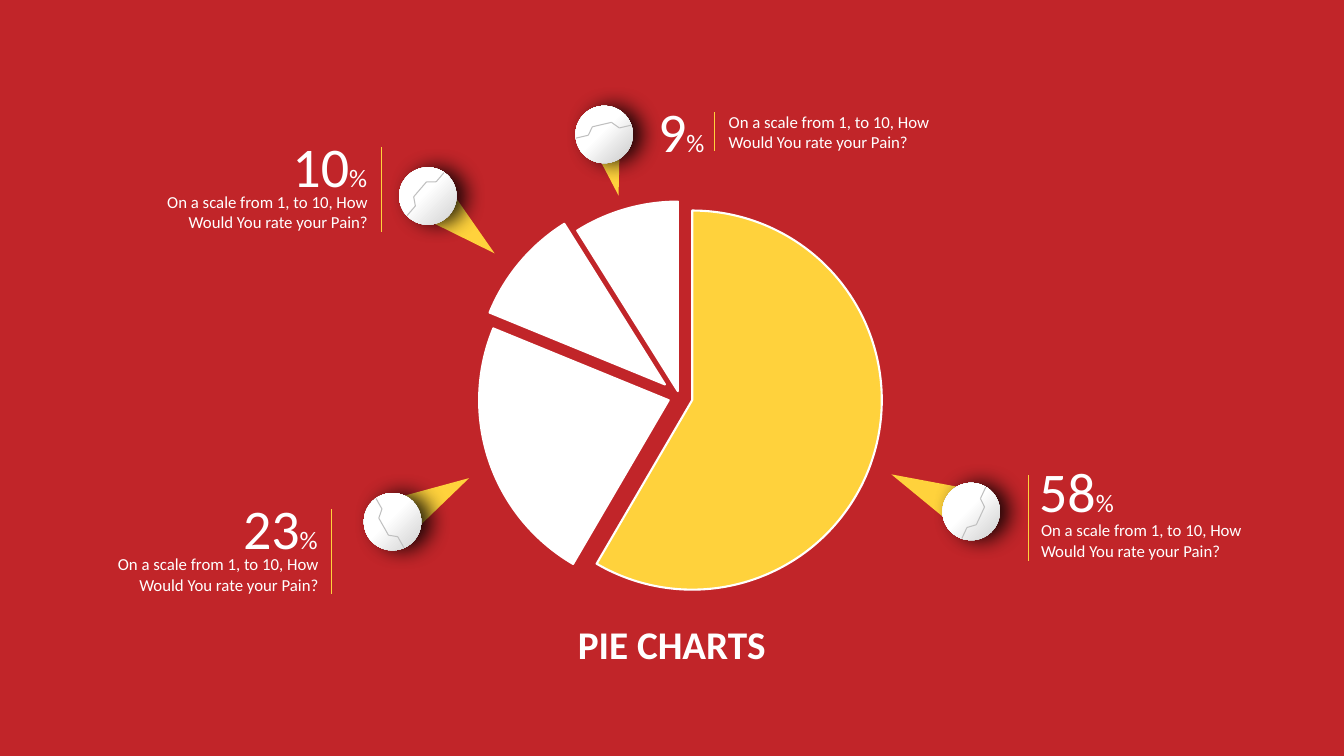
from dataclasses import dataclass
from itertools import pairwise
from math import cos, radians, sin

from lxml import etree
from pptx import Presentation
from pptx.chart.data import CategoryChartData
from pptx.dml.color import RGBColor
from pptx.enum.chart import XL_CHART_TYPE as ChartType
from pptx.enum.shapes import MSO_CONNECTOR as Connector, MSO_SHAPE as Preset
from pptx.enum.text import MSO_AUTO_SIZE as AutoSize, PP_ALIGN as Align
from pptx.oxml import parse_xml
from pptx.oxml.ns import nsdecls, qn
from pptx.util import Pt


@dataclass(frozen=True)
class Theme:
    font: str = "Calibri"
    red: str = "C12529"
    yellow: str = "FFD23C"
    white: str = "FFFFFF"
    grey: str = "BFBFBF"
    dark: str = "2E2E2E"
    black: str = "000000"
    title: float = 28
    number: float = 40
    percent: float = 18
    caption: float = 12
    chart: float = 10


@dataclass(frozen=True)
class CalloutLayout:
    number: tuple
    caption: tuple
    rule: tuple
    align: Align


THEME = Theme()
LEFT = CalloutLayout((93.8, 0, 68.4), (0, 43, 162), (164.2, 14.4, 60.7), Align.RIGHT)
RIGHT = CalloutLayout((0, 0, 68.4), (1.4, 45.4, 171.4), (-0.7, 16.6, 61.2), Align.LEFT)
TOP = CalloutLayout((0, 0, 48.2), (50.4, 10.8, 171.4), (47.5, 14.4, 28.1), Align.LEFT)

CAPTION = "On a scale from 1, to 10, How Would You rate your Pain?"
CALLOUTS = [
    ("58", RIGHT, (735.1, 322.6)),
    ("9", TOP, (463, 65.5)),
    ("23", LEFT, (72.7, 349.3)),
    ("10", LEFT, (108, 90.5)),
]
PINS = [
    ((431.6, 96.1), 346.8, 18.9),
    ((305.6, 140), 310.7, 37),
    ((693.7, 365.4), 115, 37),
    ((280.4, 372.6), 240.4, 37),
]
BALL = 41
SPIKE = (26.6, 51.8)
CRACK = [(-20.2, -2.1), (-11.2, -2.1), (-7, -7.3), (7, -7.3), (11.6, -2.1), (20.2, -2.1)]
SLICES = [(59, 7, THEME.yellow), (23, 6, THEME.white), (10, 10, THEME.white), (9, 3, THEME.white)]
PLOT = {"x": 0.176, "y": 0.153, "w": 0.657, "h": 0.689}


def color(name):
    return RGBColor.from_string(name)


def add_rule(shapes, start, end, tint, width):
    rule = shapes.add_connector(Connector.STRAIGHT, *(Pt(v) for v in (*start, *end)))
    rule.line.color.rgb = color(tint)
    rule.line.width = Pt(width)
    etree.SubElement(rule._element.spPr, qn("a:effectLst"))


def add_text(page, box, runs, align, wrap):
    holder = page.shapes.add_textbox(*(Pt(v) for v in box))
    frame = holder.text_frame
    frame.word_wrap = wrap
    frame.auto_size = AutoSize.SHAPE_TO_FIT_TEXT
    para = frame.paragraphs[0]
    para.alignment = align
    for text, size, bold in runs:
        span = para.add_run()
        span.text = text
        span.font.name = THEME.font
        span.font.size = Pt(size)
        span.font.bold = bold
        span.font.color.rgb = color(THEME.white)


def add_centered(shapes, preset, center, size, angle):
    (x, y), (width, height) = center, size
    shape = shapes.add_shape(preset, Pt(x - width / 2), Pt(y - height / 2), Pt(width), Pt(height))
    shape.rotation = angle % 360
    shape.line.fill.background()
    shape.shadow.inherit = False
    return shape


def shade_ball(ball):
    properties = ball._element.spPr
    stops = "".join(
        f'<a:gs pos="{place}"><a:srgbClr val="{tint}"/></a:gs>'
        for place, tint in ((0, THEME.grey), (54000, THEME.white), (100000, THEME.white))
    )
    gradient = parse_xml(
        f'<a:gradFill {nsdecls("a")} rotWithShape="0"><a:gsLst>{stops}</a:gsLst>'
        '<a:lin ang="13500000" scaled="0"/></a:gradFill>'
    )
    properties.find(qn("a:prstGeom")).addnext(gradient)
    properties.find(qn("a:effectLst")).append(parse_xml(
        f'<a:outerShdw {nsdecls("a")} blurRad="{Pt(15)}" dist="{Pt(7)}" dir="0" '
        f'algn="ctr" rotWithShape="0"><a:srgbClr val="{THEME.black}">'
        '<a:alpha val="85000"/></a:srgbClr></a:outerShdw>'
    ))


def add_pin(page, center, angle, reach):
    shapes = page.shapes.add_group_shape().shapes
    x, y = center
    across, down = cos(radians(angle)), sin(radians(angle))
    spike_center = (x - reach * down, y + reach * across)
    spike = add_centered(shapes, Preset.ISOSCELES_TRIANGLE, spike_center, SPIKE, angle - 180)
    spike.fill.solid()
    spike.fill.fore_color.rgb = color(THEME.yellow)
    shade_ball(add_centered(shapes, Preset.OVAL, center, (BALL, BALL), angle))
    crack = [(x + a * across - b * down, y + a * down + b * across) for a, b in CRACK]
    for start, end in pairwise(crack):
        add_rule(shapes, start, end, THEME.grey, 0.75)


def add_callout(page, number, layout, origin):
    left, top = origin
    x, y, width = layout.number
    runs = [(number, THEME.number, False), ("%", THEME.percent, False)]
    add_text(page, (left + x, top + y, width, 55.7), runs, Align.LEFT, False)
    x, y, width = layout.caption
    runs = [(CAPTION, THEME.caption, False)]
    add_text(page, (left + x, top + y, width, 36), runs, layout.align, True)
    x, y, length = layout.rule
    start, end = (left + x, top + y), (left + x, top + y + length)
    add_rule(page.shapes, start, end, THEME.yellow, 0.5)


def add_pie(page, box):
    data = CategoryChartData()
    data.categories = [str(place) for place in range(1, len(SLICES) + 1)]
    data.add_series("Series 1", [value for value, _, _ in SLICES])
    chart = page.shapes.add_chart(ChartType.PIE, *(Pt(v) for v in box), data).chart
    chart.has_legend = False
    chart.has_title = False
    chart.font.name = THEME.font
    chart.font.size = Pt(THEME.chart)
    chart.font.color.rgb = color(THEME.dark)
    plot = chart.plots[0]
    plot.vary_by_categories = True
    for place, (_, explosion, tint) in enumerate(SLICES):
        look = plot.series[0].points[place].format
        look.fill.solid()
        look.fill.fore_color.rgb = color(tint)
        look.line.color.rgb = color(THEME.white)
        look.line.width = Pt(1.5)
        point = plot.series[0]._element.findall(qn("c:dPt"))[place]
        offset = parse_xml(f'<c:explosion {nsdecls("c")} val="{explosion}"/>')
        point.find(qn("c:spPr")).addprevious(offset)
    area = chart._chartSpace.chart.plotArea
    for old in area.findall(qn("c:layout")):
        area.remove(old)
    sizes = "".join(f'<c:{key} val="{value}"/>' for key, value in PLOT.items())
    area.insert(0, parse_xml(
        f'<c:layout {nsdecls("c")}><c:manualLayout><c:layoutTarget val="inner"/>'
        f'<c:xMode val="edge"/><c:yMode val="edge"/>{sizes}</c:manualLayout></c:layout>'
    ))


def build_slide(deck):
    page = deck.slides.add_slide(deck.slide_layouts[6])
    page.background.fill.solid()
    page.background.fill.fore_color.rgb = color(THEME.red)
    add_pie(page, (277.2, 87.8, 412.6, 393.1))
    for pin in PINS:
        add_pin(page, *pin)
    title = [("PIE CHARTS", THEME.title, True)]
    add_text(page, (375.8, 439.2, 208.1, 41), title, Align.CENTER, False)
    for callout in CALLOUTS:
        add_callout(page, *callout)


def main():
    deck = Presentation()
    deck.slide_width, deck.slide_height = Pt(960), Pt(540)
    build_slide(deck)
    deck.save("out.pptx")


if __name__ == "__main__":
    main()
